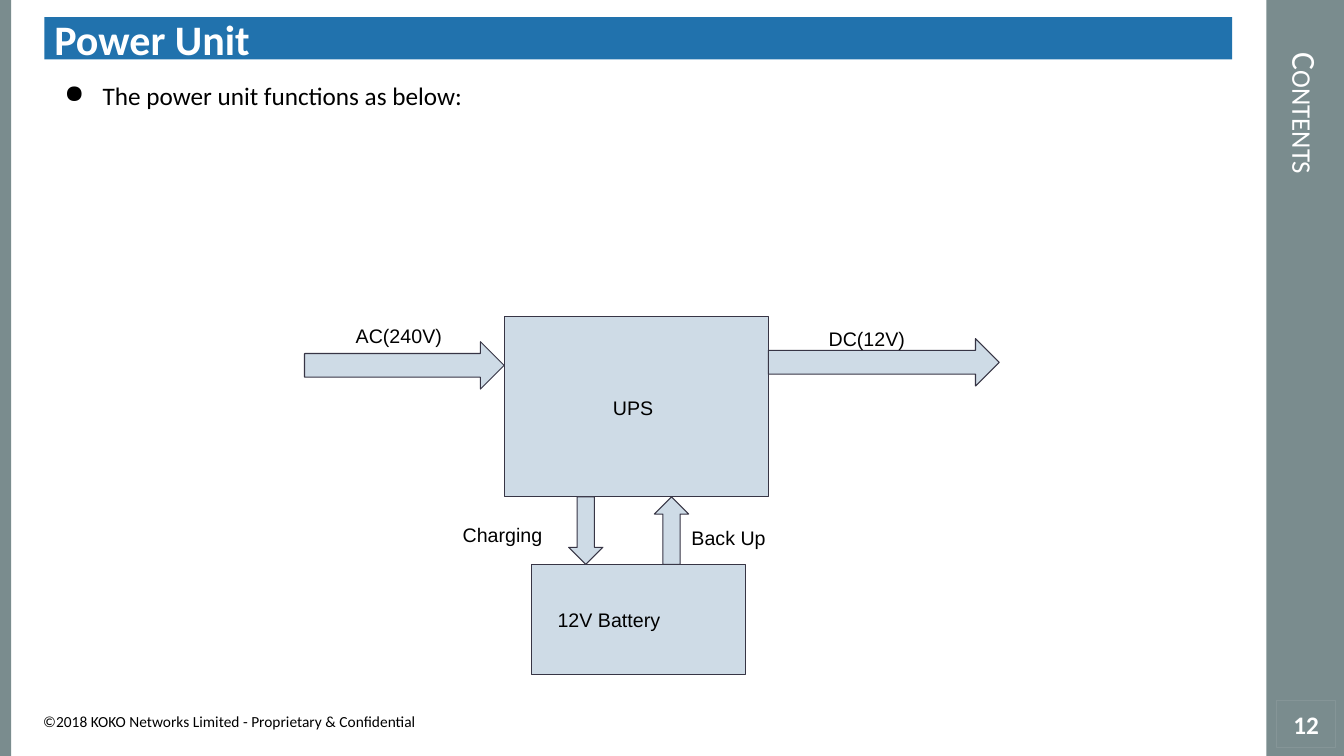
from lxml import etree
from pptx import Presentation
from pptx.dml.color import RGBColor
from pptx.enum.shapes import MSO_SHAPE as SHAPE
from pptx.enum.text import MSO_ANCHOR as ANCHOR, MSO_AUTO_SIZE as AUTOSIZE, PP_ALIGN as ALIGN
from pptx.oxml.ns import qn
from pptx.util import Inches, Pt

GREY, BLUE, PALE, OUTLINE = "7A8C8E", "2172AD", "CEDBE6", "373545"
BLACK, WHITE = "000000", "FFFFFF"
rgb = RGBColor.from_string

prs = Presentation()
prs.slide_width, prs.slide_height = Inches(13.33), Inches(7.5)
s = prs.slides.add_slide(prs.slide_layouts[5])


def add_box(preset, x, y, w, h, fill=None, line=None):
    sp = s.shapes.add_shape(preset, Inches(x), Inches(y), Inches(w), Inches(h))
    sp.shadow.inherit = False
    if fill:
        sp.fill.solid()
        sp.fill.fore_color.rgb = rgb(fill)
    else:
        sp.fill.background()
    if line:
        sp.line.color.rgb = rgb(line)
        sp.line.width = Pt(0.75)
    else:
        sp.line.fill.background()
    return sp


def write(sp, text, size, font="Calibri", color=BLACK, anchor=ANCHOR.TOP,
          align=ALIGN.LEFT, left=0.1, inset=0.1):
    """Put one run into a shape; left and inset are its margins in inches."""
    tf = sp.text_frame
    tf.word_wrap = True
    tf.auto_size = AUTOSIZE.NONE
    tf.vertical_anchor = anchor
    tf.margin_left, tf.margin_right = Inches(left), Inches(0.1)
    tf.margin_top = tf.margin_bottom = Inches(inset)
    p = tf.paragraphs[0]
    p.alignment = align
    r = p.add_run()
    r.text = text
    r.font.name, r.font.size = font, Pt(size)
    r.font.color.rgb = rgb(color)
    return r


# Side bars and footer
add_box(SHAPE.RECTANGLE, 12.56, 0, 0.77, 7.5, GREY)
add_box(SHAPE.RECTANGLE, 0, 0, 0.11, 7.5, GREY)
footer = s.shapes.add_textbox(Inches(0.33), Inches(7.02), Inches(3.98), Inches(0.29))
write(footer, "©2018 KOKO Networks Limited - Proprietary & Confidential", 11, inset=0.05)

# Section title, turned to run down the right bar and raised above it
title = s.shapes.title
title.left, title.top = Inches(9.74), Inches(3.24)
title.width, title.height = Inches(6.42), Inches(0.78)
title.rotation = 90
r = write(title, "Contents", 24, color=WHITE, anchor=ANCHOR.MIDDLE)
r.font._element.set("cap", "small")
title.element.getparent().append(title.element)

# Heading, bullet and page number
heading = add_box(SHAPE.RECTANGLE, 0.44, 0.17, 11.78, 0.42, BLUE)
write(heading, "Power Unit", 30, color=WHITE, anchor=ANCHOR.MIDDLE).font.bold = True

body = s.shapes.add_textbox(Inches(0.42), Inches(0.7), Inches(11.83), Inches(6.25))
write(body, "The power unit functions as below:", 18)
pPr = body.text_frame.paragraphs[0]._p.get_or_add_pPr()
pPr.set("marL", str(Inches(0.5)))
pPr.set("indent", str(Inches(-0.38)))
etree.SubElement(pPr, qn("a:buChar")).set("char", "●")

number = add_box(SHAPE.RECTANGLE, 12.66, 6.95, 0.59, 0.47, line="859597")
write(number, "12", 18, color=WHITE, anchor=ANCHOR.MIDDLE,
      align=ALIGN.CENTER, inset=0.05).font.bold = True

# Power diagram
add_box(SHAPE.RECTANGLE, 5, 3.14, 2.62, 1.79, PALE, OUTLINE)
battery = add_box(SHAPE.RECTANGLE, 5.27, 5.6, 2.12, 1.09, PALE, OUTLINE)
write(battery, "12V Battery", 14, "Arial", anchor=ANCHOR.MIDDLE, left=0.26)

for preset, x, y, w, h in [
    (SHAPE.RIGHT_ARROW, 3.02, 3.39, 1.98, 0.47),
    (SHAPE.RIGHT_ARROW, 7.62, 3.36, 2.29, 0.47),
    (SHAPE.DOWN_ARROW, 5.64, 4.93, 0.34, 0.67),
    (SHAPE.UP_ARROW, 6.49, 4.93, 0.34, 0.67),
]:
    add_box(preset, x, y, w, h, PALE, OUTLINE)

for text, x, y, w, h in [
    ("Charging", 4.49, 5.09, 1.05, 0.35),
    ("Back Up", 6.76, 5.12, 1.16, 0.35),
    ("AC(240V)", 3.43, 3.11, 1.16, 0.42),
    ("DC(12V)", 8.12, 3.14, 0.97, 0.35),
    ("UPS", 5.98, 3.83, 0.71, 0.42),
]:
    label = s.shapes.add_textbox(Inches(x), Inches(y), Inches(w), Inches(h))
    write(label, text, 14, "Arial")

prs.save("out.pptx")
